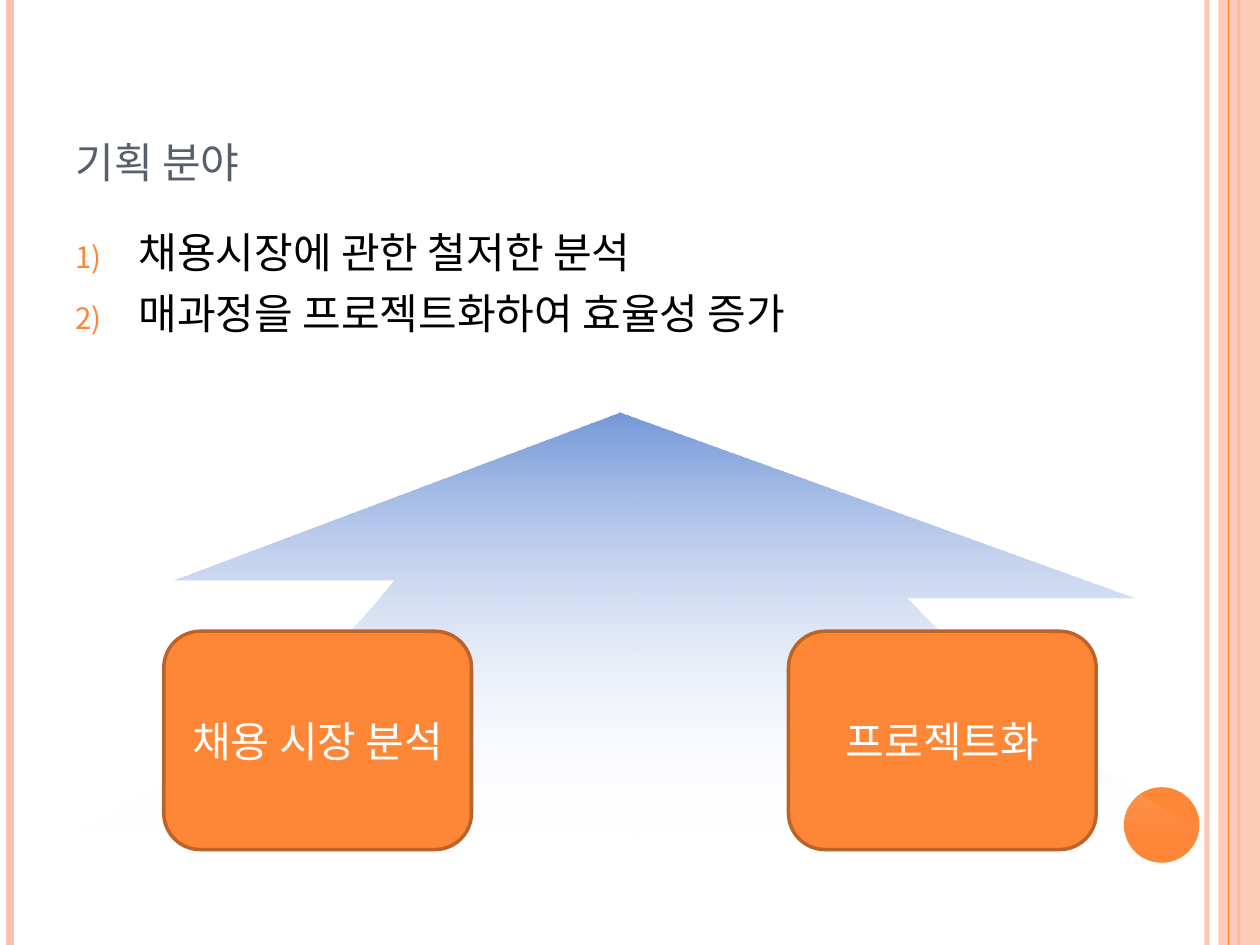
from dataclasses import dataclass
from lxml.etree import SubElement
from pptx import Presentation
from pptx.dml.color import RGBColor
from pptx.enum.shapes import MSO_CONNECTOR, MSO_SHAPE
from pptx.enum.text import MSO_ANCHOR, MSO_AUTO_SIZE, PP_ALIGN
from pptx.oxml.ns import qn
from pptx.util import Inches, Pt


@dataclass(frozen=True)
class Theme:
    """Colours, fonts and type sizes of the slide."""
    accent: str = "FE8637"
    pale: str = "FEC3AE"
    edge: str = "BC6329"
    arrow: str = "7598D9"
    white: str = "FFFFFF"
    black: str = "000000"
    slate: str = "575F6D"
    latin: str = "Noto Sans"
    korean: str = "Noto Sans CJK KR"
    head: int = 30
    text: int = 24


@dataclass(frozen=True)
class Box:
    """A region in inches."""
    left: float
    top: float
    wide: float
    high: float

    def inner(self, x, y, w, h):
        """Return a region given as shares of this one."""
        return Box(self.left + x * self.wide, self.top + y * self.high,
                   w * self.wide, h * self.high)

    def spot(self, x, y):
        """Return the point at the given shares."""
        return Inches(self.left + x * self.wide), Inches(self.top + y * self.high)

    def frame(self):
        """Return left, top, width and height as lengths."""
        return [Inches(v) for v in (self.left, self.top, self.wide, self.high)]


THEME = Theme()
PAGE = Box(0, 0, 10, 7.5)


def tint(fill, color):
    """Make a fill solid in one colour."""
    fill.solid()
    fill.fore_color.rgb = RGBColor.from_string(color)


def fade(color, share):
    """Set the opacity of a colour element in percent."""
    SubElement(color, qn("a:alpha"), val=str(share * 1000))


def write(para, text, size, color, font):
    """Add one formatted run and return it."""
    run = para.add_run()
    run.text = text
    run.font.size = Pt(size)
    run.font.name = font
    run.font.color.rgb = RGBColor.from_string(color)
    SubElement(run.font._element, qn("a:ea"), typeface=THEME.korean)
    return run


def add_form(slide, kind, box, color):
    """Add a plain filled preset shape."""
    form = slide.shapes.add_shape(kind, *box.frame())
    form.shadow.inherit = False
    tint(form.fill, color)
    form.line.fill.background()
    return form


def add_rule(slide, box, share, color, width):
    """Add a vertical rule across the height of the box."""
    rule = slide.shapes.add_connector(
        MSO_CONNECTOR.STRAIGHT, *box.spot(share, 0), *box.spot(share, 1))
    rule.line.width = Pt(width)
    tint(rule.line.fill, color)
    SubElement(rule._element.spPr, qn("a:effectLst"))
    return rule


def add_trim(slide, box):
    """Draw the side stripes and the corner disc."""
    rule = add_rule(slide, box, 0.958, THEME.pale, 3)
    fade(rule._element.spPr.find(".//" + qn("a:srgbClr")), 93)
    add_rule(slide, box, 0.008, THEME.pale, 4.5)
    add_rule(slide, box, 0.983, THEME.accent, 1.5)
    band = add_form(slide, MSO_SHAPE.RECTANGLE, box.inner(0.967, 0, 0.033, 1), THEME.pale)
    fade(band._element.spPr.find(".//" + qn("a:srgbClr")), 87)
    add_rule(slide, box, 0.975, THEME.accent, 0.75)
    add_form(slide, MSO_SHAPE.OVAL, box.inner(0.892, 0.833, 0.06, 0.08), THEME.accent)


def curve(start, pull, push, end, steps=24):
    """Return points along a cubic curve, without its start."""
    marks = []
    for step in range(1, steps + 1):
        t = step / steps
        rates = ((1 - t) ** 3, 3 * t * (1 - t) ** 2, 3 * t * t * (1 - t), t ** 3)
        knots = (start, pull, push, end)
        marks.append(tuple(sum(r * k[i] for r, k in zip(rates, knots)) for i in (0, 1)))
    return marks


def add_arrow(slide, box):
    """Draw the wide fading arrow that points up."""
    base, foot, neck = (1, 1), (0, 1), (0.286, 0.396)
    waist = (0.732, 0.438)
    marks = [(0.483, 0), (0.931, 0.438), waist,
             *curve(waist, (0.876, 0.845), base, base), foot,
             *curve(foot, foot, (0.175, 0.783), neck)]
    outline = slide.shapes.build_freeform(*box.spot(0.095, 0.396))
    outline.add_line_segments([box.spot(*mark) for mark in marks], close=True)
    arrow = outline.convert_to_shape()
    arrow.shadow.inherit = False
    arrow.line.fill.background()
    arrow.fill.gradient()
    arrow.fill.gradient_angle = 270
    for stop, color, place in zip(arrow.fill.gradient_stops, (THEME.arrow, THEME.white), (0, 1)):
        stop.color.rgb = RGBColor.from_string(color)
        stop.position = place
    fade(arrow._element.spPr.findall(".//" + qn("a:srgbClr"))[-1], 0)


def seat(slide, holder, box, anchor):
    """Move a placeholder to the box and in front, and return its text frame."""
    holder.left, holder.top, holder.width, holder.height = box.frame()
    slide.shapes._spTree.append(holder._element)
    frame = holder.text_frame
    frame.auto_size = MSO_AUTO_SIZE.NONE
    frame.vertical_anchor = anchor
    return frame


def add_title(slide, box, text):
    """Place the title in small capitals."""
    para = seat(slide, slide.shapes.title, box, MSO_ANCHOR.BOTTOM).paragraphs[0]
    para.alignment = PP_ALIGN.LEFT
    run = write(para, text, THEME.head, THEME.slate, THEME.latin)
    run.font._element.set("cap", "small")


def add_list(slide, box, items):
    """Place the numbered list."""
    frame = seat(slide, slide.placeholders[1], box, MSO_ANCHOR.TOP)
    for rank, item in enumerate(items):
        para = frame.add_paragraph() if rank else frame.paragraphs[0]
        para.space_before = Pt(6 if rank else 0)
        props = para._p.get_or_add_pPr()
        props.set("marL", str(Inches(0.5)))
        props.set("indent", str(Inches(-0.5)))
        SubElement(SubElement(props, qn("a:buClr")), qn("a:srgbClr"), val=THEME.accent)
        SubElement(props, qn("a:buSzPct"), val="70000")
        SubElement(props, qn("a:buFont"), typeface=THEME.latin)
        SubElement(props, qn("a:buAutoNum"), type="arabicParenR")
        write(para, item, THEME.text, THEME.black, THEME.latin)


def add_cards(slide, box, names):
    """Place equal rounded cards at both ends of the box."""
    share = 0.33
    step = (1 - share) / (len(names) - 1)
    for rank, name in enumerate(names):
        card = add_form(slide, MSO_SHAPE.ROUNDED_RECTANGLE,
                        box.inner(rank * step, 0, share, 1), THEME.accent)
        tint(card.line.fill, THEME.edge)
        card.line.width = Pt(2)
        frame = card.text_frame
        frame.word_wrap = False
        frame.vertical_anchor = MSO_ANCHOR.MIDDLE
        para = frame.paragraphs[0]
        para.alignment = PP_ALIGN.CENTER
        write(para, name, THEME.text, THEME.white, THEME.korean)


def main():
    """Build and save the slide."""
    deck = Presentation()
    deck.slide_width, deck.slide_height = PAGE.frame()[2:]
    slide = deck.slides.add_slide(deck.slide_layouts[1])
    add_trim(slide, PAGE)
    add_arrow(slide, PAGE.inner(0.051, 0.437, 0.914, 0.448))
    add_title(slide, PAGE.inner(0.05, 0.04, 0.817, 0.167), "기획 분야")
    add_list(slide, PAGE.inner(0.05, 0.233, 0.9, 0.183),
             ["채용시장에 관한 철저한 분석", "매과정을 프로젝트화하여 효율성 증가"])
    add_cards(slide, PAGE.inner(0.13, 0.668, 0.74, 0.231), ["채용 시장 분석", "프로젝트화"])
    deck.save("out.pptx")


if __name__ == "__main__":
    main()
